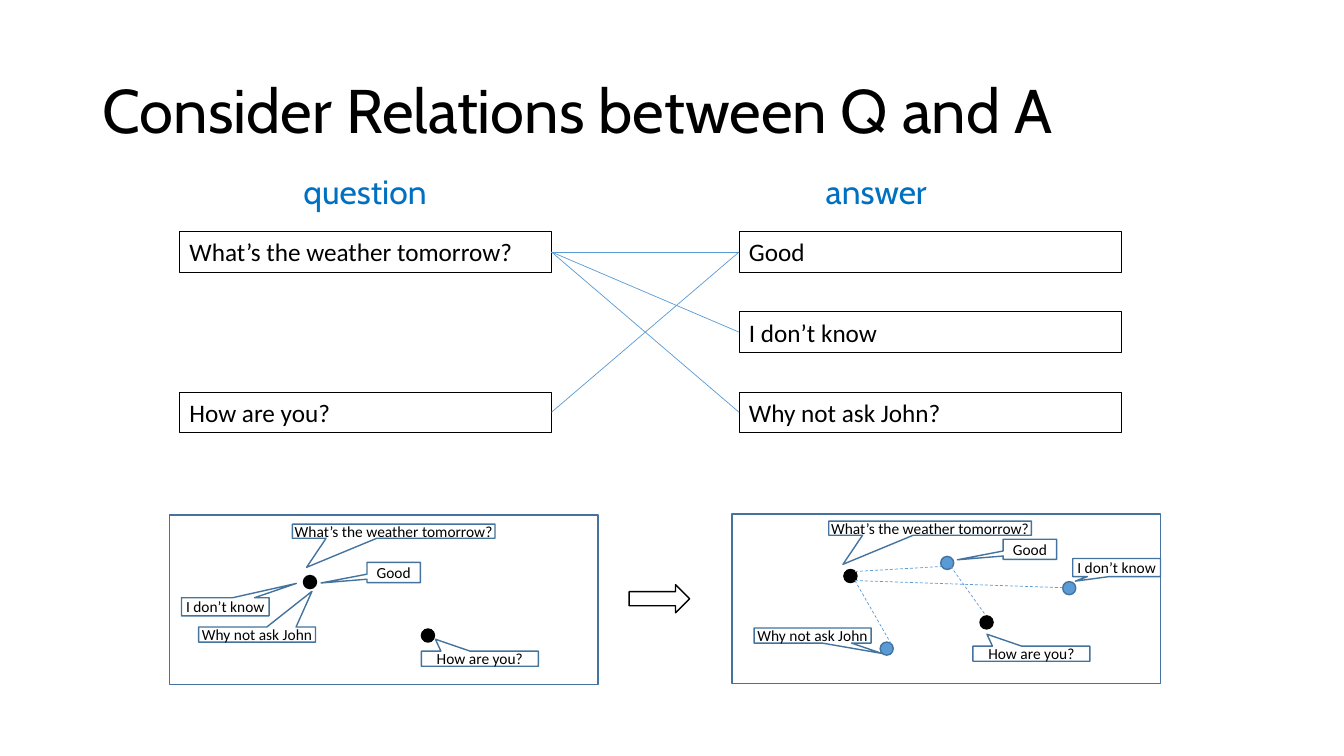
from dataclasses import dataclass, field
from typing import Any

from lxml.etree import SubElement as add_sub
from pptx import Presentation
from pptx.dml.color import RGBColor as Color
from pptx.enum.dml import MSO_LINE as Dash
from pptx.enum.shapes import MSO_CONNECTOR as Link, MSO_SHAPE as Kind
from pptx.enum.text import MSO_ANCHOR as Anchor, MSO_AUTO_SIZE as Fit, PP_ALIGN as Align
from pptx.oxml.ns import qn
from pptx.util import Inches, Pt

Point = tuple[float, float]
Area = tuple[float, float, float, float]


@dataclass(frozen=True)
class Theme:
    head: str = "Cabin"
    body: str = "Calibri"
    black: str = "000000"
    blue: str = "5B9BD5"
    edge: str = "43739E"
    label: str = "0070C0"
    title: int = 44
    column: int = 24
    box: int = 18
    note: int = 11
    thin: float = 0.5
    frame: float = 0.75
    line: float = 1


@dataclass(frozen=True)
class Dot:
    at: Point
    answer: bool = False


@dataclass(frozen=True)
class Note:
    text: str
    at: Point
    tip: Point


@dataclass(frozen=True)
class Panel:
    at: Point
    dots: list[Dot]
    notes: list[Note]
    links: list[tuple[Point, Point]] = field(default_factory=list)


LOOK = Theme()
FLUSH = {f"margin_{side}": 0 for side in ("left", "top", "right", "bottom")}
BOXED = {"word_wrap": True, "auto_size": Fit.SHAPE_TO_FIT_TEXT, "vertical_anchor": Anchor.TOP}
TITLE = {"word_wrap": True, "vertical_anchor": Anchor.MIDDLE}
LABEL = FLUSH | {"word_wrap": False, "auto_size": Fit.SHAPE_TO_FIT_TEXT}
NOTED = FLUSH | {"word_wrap": True, "vertical_anchor": Anchor.MIDDLE}

WEATHER, HOW = "What’s the weather tomorrow?", "How are you?"
GOOD, UNSURE, JOHN = "Good", "I don’t know", "Why not ask John"
SIZES = {WEATHER: (2.01, 0.14), HOW: (1.16, 0.15), GOOD: (0.53, 0.2),
         UNSURE: (0.87, 0.18), JOHN: (1.16, 0.15)}
TOP, STEP, HIGH = 2.3, 0.795, 0.4
SPOT = 0.13
ASKED = {WEATHER: 0, HOW: 2}
REPLIES = {GOOD: 0, UNSURE: 1, JOHN + "?": 2}
PAIRS = [(WEATHER, GOOD), (HOW, GOOD), (WEATHER, UNSURE), (WEATHER, JOHN + "?")]

PANELS = [
    Panel((1.68, 5.11),
          [Dot((3.01, 5.71)), Dot((4.18, 6.24))],
          [Note(WEATHER, (2.9, 5.2), (-0.43, 2.56)),
           Note(UNSURE, (1.8, 5.93), (0.81, -1.29)),
           Note(GOOD, (3.64, 5.58), (-1.36, 0.52)),
           Note(JOHN, (1.97, 6.22), (0.47, -2.86)),
           Note(HOW, (4.18, 6.46), (-0.38, -1.29))]),
    Panel((7.26, 5.1),
          [Dot((8.37, 5.65)), Dot((9.33, 5.52), True), Dot((9.72, 6.11)),
           Dot((10.54, 5.77), True), Dot((8.73, 6.37), True)],
          [Note(WEATHER, (8.22, 5.17), (-0.43, 2.56)),
           Note(GOOD, (9.95, 5.35), (-1.36, 0.52)),
           Note(JOHN, (7.48, 6.23), (0.59, 1.18)),
           Note(UNSURE, (10.64, 5.54), (-0.47, 0.75)),
           Note(HOW, (9.65, 6.41), (-0.38, -1.29))],
          [((8.48, 5.76), (10.54, 5.83)), ((8.48, 5.67), (9.34, 5.62)),
           ((8.48, 5.76), (8.84, 6.39)), ((9.43, 5.62), (9.78, 6.11))]),
]


def apply(target: Any, values: dict[str, Any]) -> None:
    for name, value in values.items():
        setattr(target, name, value)


def write(shape: Any, text: str, face: str, size: int, frame: dict[str, Any],
          color: str = LOOK.black, para: dict[str, Any] | None = None) -> None:
    apply(shape.text_frame, frame)
    first = shape.text_frame.paragraphs[0]
    apply(first, para or {"alignment": Align.LEFT})
    run = first.add_run()
    run.text = text
    apply(run.font, {"name": face, "size": Pt(size)})
    run.font.color.rgb = Color.from_string(color)


def draw(shapes: Any, kind: Kind, area: Area, edge: str = LOOK.edge,
         width: float = LOOK.line, fill: str | None = None) -> Any:
    shape = shapes.add_shape(kind, *map(Inches, area))
    shape.shadow.inherit = False
    if fill:
        shape.fill.solid()
        shape.fill.fore_color.rgb = Color.from_string(fill)
    else:
        shape.fill.background()
    shape.line.color.rgb = Color.from_string(edge)
    shape.line.width = Pt(width)
    return shape


def link(shapes: Any, start: Point, end: Point, dash: Dash | None = None) -> Any:
    line = shapes.add_connector(Link.STRAIGHT, *map(Inches, start + end))
    add_sub(line._element.spPr, qn("a:effectLst"))
    line.line.color.rgb = Color.from_string(LOOK.blue)
    apply(line.line, {"width": Pt(LOOK.thin), "dash_style": dash})
    return line


def stack(shapes: Any, rows: dict[str, int], left: float, width: float) -> dict[str, Any]:
    boxes = {}
    for text, row in rows.items():
        area = (left, TOP + row * STEP, width, HIGH)
        boxes[text] = draw(shapes, Kind.RECTANGLE, area, LOOK.black, LOOK.frame)
        write(boxes[text], text, LOOK.body, LOOK.box, BOXED)
    return boxes


def plot(shapes: Any, panel: Panel) -> None:
    group = shapes.add_group_shape().shapes
    draw(group, Kind.RECTANGLE, panel.at + (4.25, 1.68))
    for dot in panel.dots:
        edge, fill = (LOOK.edge, LOOK.blue) if dot.answer else (LOOK.black, LOOK.black)
        draw(group, Kind.OVAL, dot.at + (SPOT, SPOT), edge, fill=fill)
    for note in panel.notes:
        shape = draw(group, Kind.RECTANGULAR_CALLOUT, note.at + SIZES[note.text])
        for index, value in enumerate(note.tip):
            shape.adjustments[index] = value
        write(shape, note.text, LOOK.body, LOOK.note, NOTED, para={"alignment": Align.CENTER})
    for start, end in panel.links:
        link(group, start, end, Dash.DASH)


def main() -> None:
    deck = Presentation()
    apply(deck, {"slide_width": Inches(13.33), "slide_height": Inches(7.5)})
    shapes = deck.slides.add_slide(deck.slide_layouts[6]).shapes

    title = shapes.add_textbox(*map(Inches, (0.92, 0.4, 11.5, 1.45)))
    write(title, "Consider Relations between Q and A", LOOK.head, LOOK.title, TITLE,
          para={"line_spacing": 0.9})
    for text, left, width in (("question", 3.01, 1.23), ("answer", 8.19, 1.03)):
        label = shapes.add_textbox(*map(Inches, (left, 1.7, width, HIGH)))
        write(label, text, LOOK.head, LOOK.column, LABEL, LOOK.label)

    asked = stack(shapes, ASKED, 1.78, 3.69)
    replies = stack(shapes, REPLIES, 7.33, 3.79)
    for query, reply in PAIRS:
        line = link(shapes, (0, 0), (1, 1))
        line.begin_connect(asked[query], 3)
        line.end_connect(replies[reply], 1)

    for panel in PANELS:
        plot(shapes, panel)
    draw(shapes, Kind.RIGHT_ARROW, (6.24, 5.8, 0.6, 0.28), LOOK.black)
    deck.save("out.pptx")


if __name__ == "__main__":
    main()
